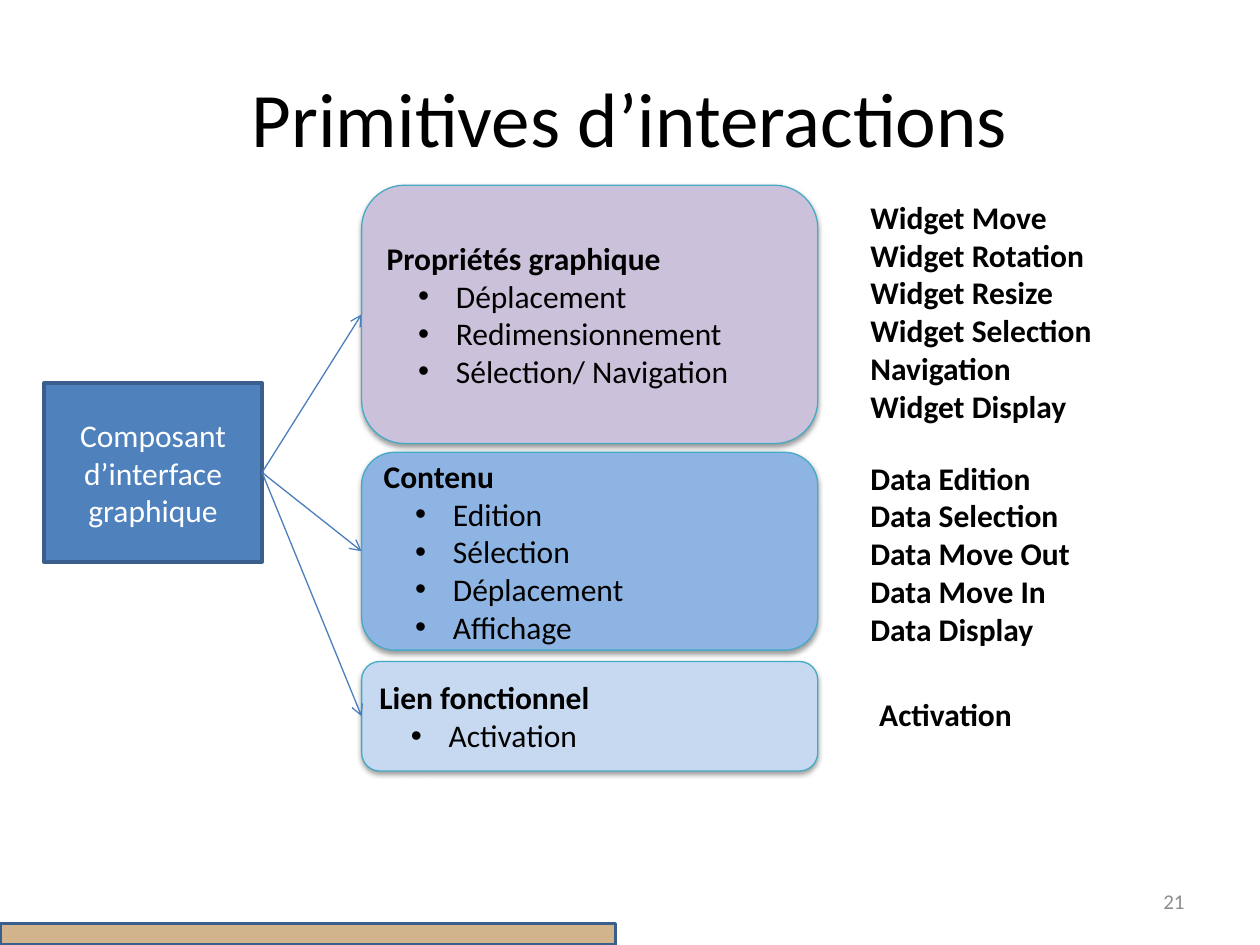
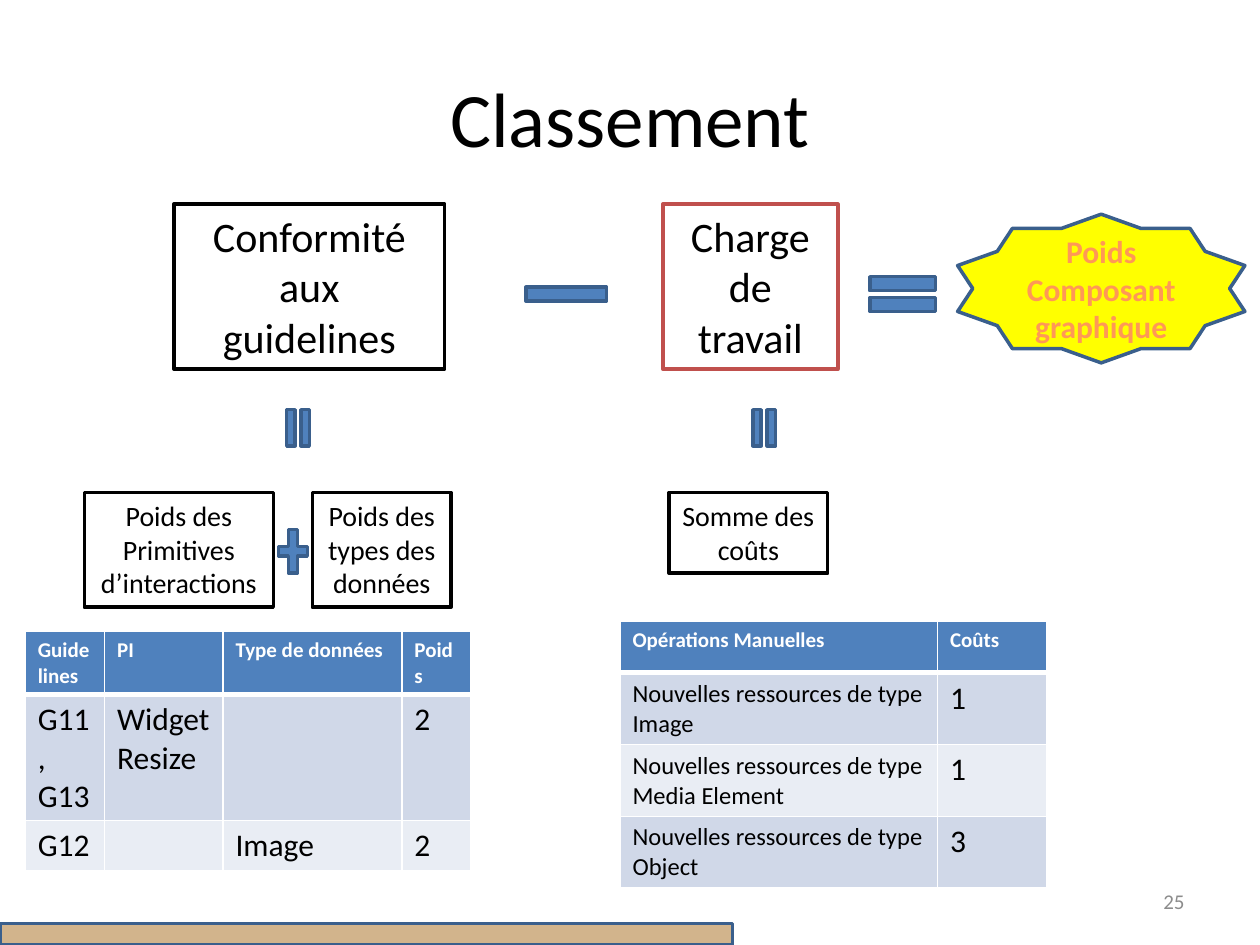
"""Build two slides on interaction primitives and how components are ranked."""
from dataclasses import dataclass

from lxml.etree import SubElement as Sub
from pptx import Presentation
from pptx.dml.color import RGBColor as Rgb
from pptx.enum.shapes import MSO_CONNECTOR as Link, MSO_SHAPE as Kind
from pptx.enum.text import MSO_ANCHOR as Anchor, PP_ALIGN as Align
from pptx.oxml.ns import qn
from pptx.util import Emu, Inches, Pt


@dataclass(frozen=True)
class Theme:
    """Hold the colours, font and type sizes."""
    font: str = "Calibri"
    black: str = "000000"
    white: str = "FFFFFF"
    grey: str = "8C8C8C"
    blue: str = "4F81BD"
    edge: str = "3A5F8C"
    red: str = "C0504D"
    tan: str = "D2B48C"
    teal: str = "46AAC5"
    arrow: str = "4B7EBC"
    mauve: str = "CCC1DA"
    sky: str = "8EB4E3"
    pale: str = "C6D9F1"
    yellow: str = "FFFF00"
    orange: str = "FF9856"
    bands: tuple = ("D0D8E8", "E9EDF4")
    title: int = 44
    large: int = 24
    body: int = 18
    label: int = 16
    cell: int = 14
    small: int = 12


T = Theme()
TOTAL = 43


def rgb(code):
    """Turn a hex code into a colour."""
    return Rgb.from_string(code)


def bullet(para):
    """Give a paragraph a hanging bullet."""
    props = para._p.get_or_add_pPr()
    props.set("marL", str(Inches(0.55)))
    props.set("indent", str(Inches(-0.3)))
    Sub(props, qn("a:buFont"), typeface="Arial")
    Sub(props, qn("a:buChar"), char="•")


def write(frame, lines, size, color=T.black, bold=False, align=Align.LEFT, head=False):
    """Write lines as paragraphs; with head, the first is bold and the rest bulleted."""
    for row, text in enumerate(lines):
        para = frame.paragraphs[0] if row == 0 else frame.add_paragraph()
        para.alignment = align
        if head and row:
            bullet(para)
        run = para.add_run()
        run.text = text
        font = run.font
        font.name, font.size = T.font, Pt(size)
        font.bold = bold or (head and row == 0)
        font.color.rgb = rgb(color)


def label(slide, place, lines, size, wrap=True, anchor=Anchor.TOP, **style):
    """Add a text box."""
    frame = slide.shapes.add_textbox(*map(Inches, place)).text_frame
    frame.word_wrap = wrap
    frame.vertical_anchor = anchor
    write(frame, lines, size, **style)


def block(slide, kind, place, fill=T.blue, edge=T.edge, width=2):
    """Add a filled and outlined shape."""
    shape = slide.shapes.add_shape(kind, *map(Inches, place))
    shape.shadow.inherit = False
    shape.fill.solid()
    shape.fill.fore_color.rgb = rgb(fill)
    shape.line.color.rgb = rgb(edge)
    shape.line.width = Pt(width)
    return shape


def frame_box(slide, place, lines, size, edge=T.black):
    """Add a white box with centred text."""
    shape = block(slide, Kind.RECTANGLE, place, T.white, edge)
    shape.text_frame.vertical_anchor = Anchor.TOP
    write(shape.text_frame, lines, size, align=Align.CENTER)


def card(slide, top, height, fill, lines):
    """Add a rounded card with a soft shadow, a heading and bullets."""
    place = (2.87, top, 3.62, height)
    shape = block(slide, Kind.FLOWCHART_ALTERNATE_PROCESS, place, fill, T.teal, 0.75)
    effects = shape._element.spPr.find(qn("a:effectLst"))
    shade = Sub(effects, qn("a:outerShdw"), blurRad="40000", dist="20000",
                dir="5400000", rotWithShape="0")
    color = Sub(shade, qn("a:srgbClr"), val=T.black)
    Sub(color, qn("a:alpha"), val="38000")
    write(shape.text_frame, lines, T.body, head=True)
    return shape


def join(slide, start, end):
    """Draw an arrow from the right of one shape to the left of another."""
    line = slide.shapes.add_connector(Link.STRAIGHT, *[Emu(0)] * 4)
    line.begin_connect(start, 3)
    line.end_connect(end, 1)
    line.line.color.rgb = rgb(T.arrow)
    line.line.width = Pt(0.75)
    props = line._element.spPr
    Sub(props.find(qn("a:ln")), qn("a:tailEnd"), type="arrow")
    Sub(props, qn("a:effectLst"))


def rule(cell, head):
    """Draw white cell borders, thicker below the header."""
    props = cell._tc.get_or_add_tcPr()
    for side in "LRTB":
        width = Pt(3 if head and side == "B" else 1)
        line = Sub(props, qn(f"a:ln{side}"), w=str(width))
        Sub(Sub(line, qn("a:solidFill")), qn("a:srgbClr"), val=T.white)


def grid(slide, left, top, widths, heights, rows, sizes):
    """Add a banded table with one body type size per column."""
    place = (left, top, sum(widths), sum(heights))
    table = slide.shapes.add_table(len(rows), len(widths), *map(Inches, place)).table
    for col, width in zip(table.columns, widths):
        col.width = Inches(width)
    for row, height in zip(table.rows, heights):
        row.height = Inches(height)
    for r, row in enumerate(rows):
        head = r == 0
        for c, text in enumerate(row):
            cell = table.cell(r, c)
            rule(cell, head)
            cell.fill.solid()
            cell.fill.fore_color.rgb = rgb(T.blue if head else T.bands[(r - 1) % 2])
            if text:
                size, color = (T.small, T.white) if head else (sizes[c], T.black)
                write(cell.text_frame, text.split("\n"), size, color, head)


def start(deck, title, page):
    """Add a slide with its title, number and progress bar."""
    slide = deck.slides.add_slide(deck.slide_layouts[6])
    label(slide, (0.5, 0.3, 9, 1.25), [title], T.title,
          anchor=Anchor.MIDDLE, align=Align.CENTER)
    label(slide, (7.17, 6.95, 2.33, 0.4), [str(page)], T.small,
          anchor=Anchor.MIDDLE, color=T.grey, align=Align.RIGHT)
    block(slide, Kind.RECTANGLE, (0, 7.33, 10 * page / TOTAL, 0.17), T.tan)
    return slide


def actions(deck):
    """Build the slide of interaction primitives."""
    slide = start(deck, "Primitives d’interactions", 21)
    part = block(slide, Kind.RECTANGLE, (0.35, 3.04, 1.73, 1.42))
    write(part.text_frame, ["Composant d’interface graphique"], T.body, T.white,
          align=Align.CENTER)
    cards = [
        (1.47, 2.05, T.mauve, ["Propriétés graphique", "Déplacement",
                               "Redimensionnement", "Sélection/ Navigation"]),
        (3.59, 1.57, T.sky, ["Contenu", "Edition", "Sélection", "Déplacement",
                             "Affichage"]),
        (5.25, 0.87, T.pale, ["Lien fonctionnel", "Activation"]),
    ]
    for spot in cards:
        join(slide, part, card(slide, *spot))
    lists = [
        ((6.81, 1.52, 1.97, 1.92), ["Widget Move", "Widget Rotation", "Widget Resize",
                                    "Widget Selection", "Navigation", "Widget Display"]),
        ((6.81, 3.59, 1.8, 1.62), ["Data Edition", "Data Selection", "Data Move Out",
                                   "Data Move In", "Data Display"]),
        ((6.88, 5.47, 1.27, 0.4), ["Activation"]),
    ]
    for place, lines in lists:
        label(slide, place, lines, T.body, wrap=False, bold=True)


def ranking(deck):
    """Build the slide of the ranking formula."""
    slide = start(deck, "Classement", 25)
    star = block(slide, Kind.STAR_10_POINT, (7.6, 1.7, 2.28, 1.18), T.yellow)
    write(star.text_frame, ["Poids", "Composant graphique"], T.body, T.orange, True,
          Align.CENTER)
    frame_box(slide, (1.38, 1.62, 2.15, 1.31), ["Conformité", "aux", "guidelines"], T.large)
    frame_box(slide, (5.26, 1.62, 1.39, 1.31), ["Charge", "de", "travail"], T.large, T.red)
    for left, width, text in [(0.67, 1.5, "Poids des Primitives d’interactions"),
                              (2.48, 1.1, "Poids des types des données")]:
        frame_box(slide, (left, 3.91, width, 0.91), [text], T.label)
    frame_box(slide, (5.31, 3.91, 1.26, 0.64), ["Somme des coûts"], T.label)

    block(slide, Kind.MATH_EQUAL, (6.81, 2.1, 0.71, 0.47))
    block(slide, Kind.MATH_MINUS, (4.06, 2.1, 0.87, 0.47))
    block(slide, Kind.MATH_PLUS, (2.17, 4.14, 0.31, 0.47))
    for left in (2.17, 5.87):
        sign = block(slide, Kind.MATH_EQUAL, (left, 3.2, 0.39, 0.39))
        sign.rotation = 90
        sign.adjustments[0], sign.adjustments[1] = 0.17, 0.12

    grid(slide, 0.2, 5.01, (0.63, 0.94, 1.42, 0.55), (0.5, 1, 0.4), [
        ("Guidelines", "PI", "Type de données", "Poids"),
        ("G11, G13", "Widget Resize", "", "2"),
        ("G12", "", "Image", "2"),
    ], [T.body] * 4)
    costs = [("Image", 1), ("Media Element", 1), ("Object", 3)]
    rows = [(f"Nouvelles ressources de type\n{name}", str(cost)) for name, cost in costs]
    grid(slide, 4.92, 4.93, (2.52, 0.87), (0.41, 0.57, 0.57, 0.57),
         [("Opérations Manuelles", "Coûts"), *rows], (T.cell, T.body))


def main():
    """Build and save the deck."""
    deck = Presentation()
    deck.slide_width, deck.slide_height = Inches(10), Inches(7.5)
    actions(deck)
    ranking(deck)
    deck.save("out.pptx")


if __name__ == "__main__":
    main()
